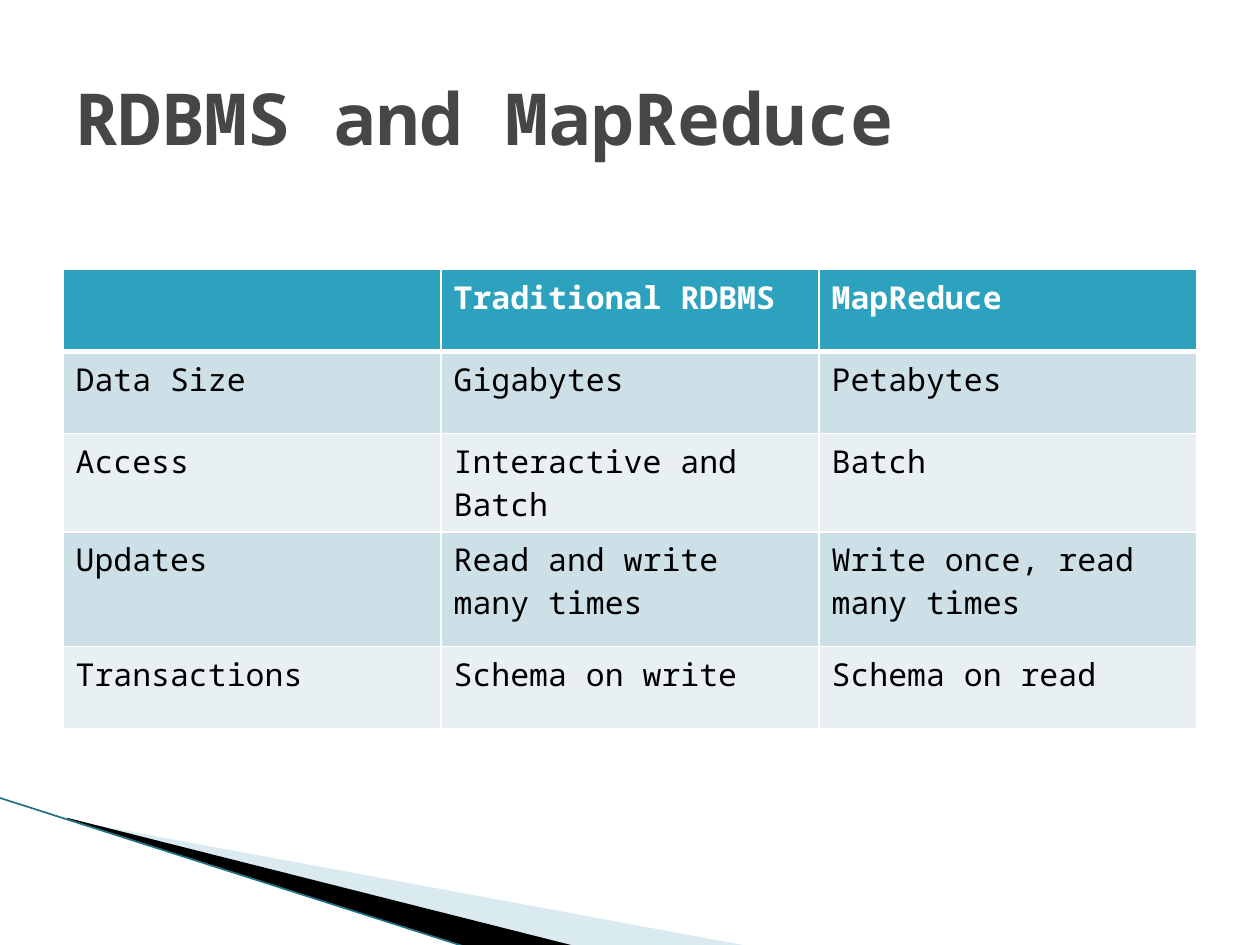
from typing import NamedTuple

from lxml.etree import SubElement
from pptx import Presentation
from pptx.dml.color import RGBColor
from pptx.enum.shapes import MSO_CONNECTOR
from pptx.enum.text import MSO_ANCHOR
from pptx.oxml.ns import qn
from pptx.util import Inches, Pt

FONT = "Noto Sans Mono"
WHITE, BLACK = "FFFFFF", "000000"
HEAD, BANDS = "2DA2BF", ("E8F0F4", "CDE0E8")


class Wedge(NamedTuple):
    points: list[tuple[float, float]]
    fill: str
    alpha: int


WEDGES = [
    Wedge([(0.55, 6.51), (5.95, 7.51), (4.56, 7.51), (0.55, 6.5)], "A0CBDC", 40),
    Wedge([(0.53, 6.49), (4.57, 7.51), (3.72, 7.52), (0.54, 6.5)], BLACK, 100),
]
ROWS = [
    ("", "Traditional RDBMS", "MapReduce"),
    ("Data Size", "Gigabytes", "Petabytes"),
    ("Access", "Interactive and Batch", "Batch"),
    ("Updates", "Read and write many times", "Write once, read many times"),
    ("Transactions", "Schema on write", "Schema on read"),
]
HEIGHTS = (0.65, 0.65, 0.65, 0.91, 0.65)


def color(code: str) -> RGBColor:
    return RGBColor.from_string(code)


def style(frame, size: float, code: str, bold: bool) -> None:
    for part in frame.paragraphs:
        for font in [part.font] + [run.font for run in part.runs]:
            font.name, font.size, font.bold = FONT, Pt(size), bold
            font.color.rgb = color(code)


def draw_wedge(slide, wedge: Wedge) -> None:
    spots = [(Inches(x), Inches(y)) for x, y in wedge.points]
    pen = slide.shapes.build_freeform(*spots[0])
    pen.add_line_segments(spots[1:], close=True)
    shape = pen.convert_to_shape()
    shape.shadow.inherit = False
    shape.line.fill.background()
    shape.fill.solid()
    shape.fill.fore_color.rgb = color(wedge.fill)
    if wedge.alpha < 100:
        tint = shape._element.spPr.find(qn("a:solidFill"))[0]
        SubElement(tint, qn("a:alpha"), val=str(wedge.alpha * 1000))


def draw_edge(slide) -> None:
    line = slide.shapes.add_connector(
        MSO_CONNECTOR.STRAIGHT, Inches(-0.01), Inches(6.33), Inches(3.71), Inches(7.52))
    line.line.color.rgb = color("1F7287")
    line.line.width = Pt(0.95)
    SubElement(line._element.spPr, qn("a:effectLst"))


def set_rules(cell, top: float, base: float) -> None:
    props = cell._tc.get_or_add_tcPr()
    for side, width in {"L": 1, "R": 1, "T": top, "B": base}.items():
        rule = SubElement(props, qn(f"a:ln{side}"), w=str(Pt(width)))
        SubElement(SubElement(rule, qn("a:solidFill")), qn("a:srgbClr"), val=WHITE)


def draw_table(slide) -> None:
    table = slide.shapes.add_table(
        len(ROWS), 3, Inches(0.5), Inches(2.14), Inches(9), Inches(sum(HEIGHTS))).table
    for r, texts in enumerate(ROWS):
        table.rows[r].height = Inches(HEIGHTS[r])
        head = r == 0
        for c, text in enumerate(texts):
            cell = table.cell(r, c)
            # The rule under the header is heavier
            set_rules(cell, 3 if r == 1 else 1, 3 if head else 1)
            cell.fill.solid()
            cell.fill.fore_color.rgb = color(HEAD if head else BANDS[r % 2])
            cell.text_frame.text = text
            style(cell.text_frame, 18, WHITE if head else BLACK, head)


def draw_title(slide, text: str) -> None:
    box = slide.shapes.add_textbox(Inches(0.5), Inches(0.3), Inches(9), Inches(1.25))
    frame = box.text_frame
    frame.word_wrap = True
    frame.vertical_anchor = MSO_ANCHOR.MIDDLE
    frame.text = text
    style(frame, 41, "464646", True)


def main() -> None:
    deck = Presentation()
    deck.slide_width, deck.slide_height = Inches(10), Inches(7.5)
    slide = deck.slides.add_slide(deck.slide_layouts[6])

    # Corner decoration
    for wedge in WEDGES:
        draw_wedge(slide, wedge)
    draw_edge(slide)

    # Content
    draw_table(slide)
    draw_title(slide, "RDBMS and MapReduce")
    deck.save("out.pptx")


if __name__ == "__main__":
    main()
